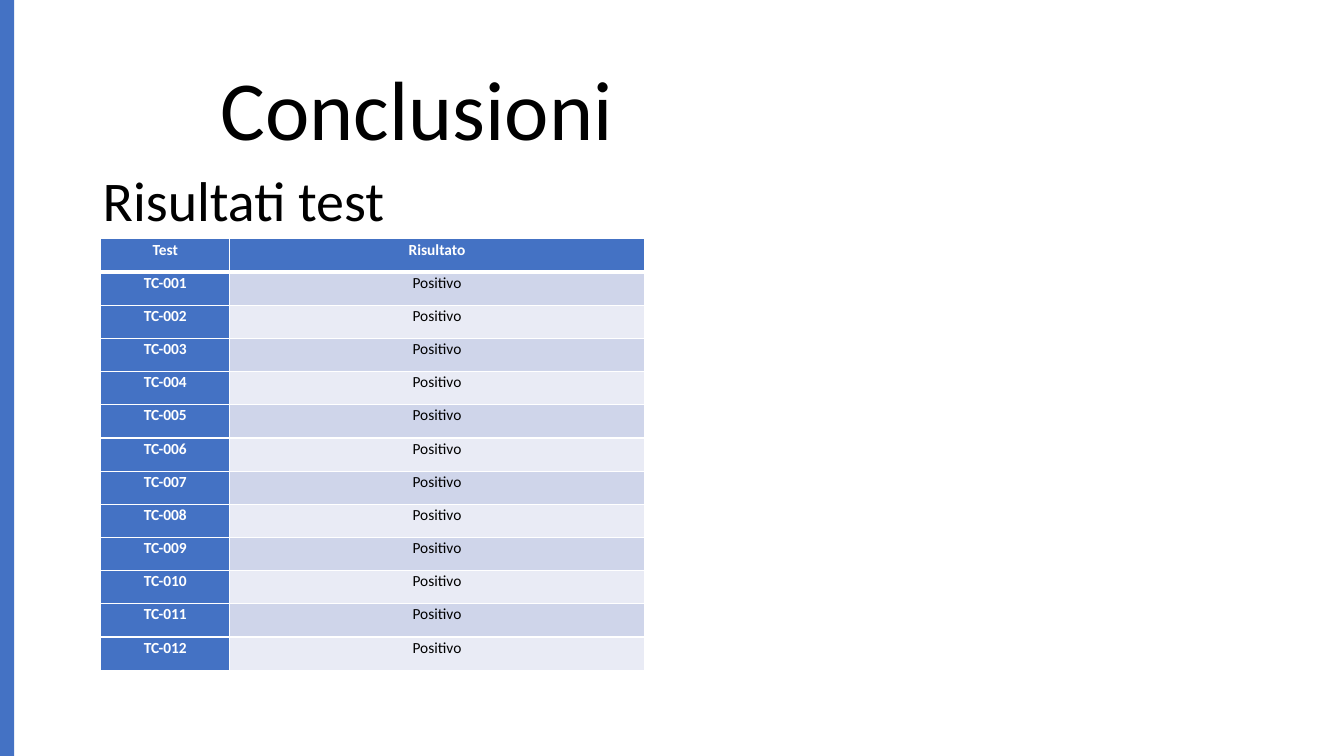
import pptx
import pptx.dml.color
import pptx.enum.shapes
import pptx.enum.text
import pptx.oxml.ns
import pptx.util
from lxml import etree

Inches, Pt = pptx.util.Inches, pptx.util.Pt
RGBColor = pptx.dml.color.RGBColor
MSO_ANCHOR, PP_ALIGN = pptx.enum.text.MSO_ANCHOR, pptx.enum.text.PP_ALIGN
qn = pptx.oxml.ns.qn

BLUE = RGBColor(0x44, 0x72, 0xC4)
BAND_DARK = RGBColor(0xCF, 0xD5, 0xEA)
BAND_LIGHT = RGBColor(0xE9, 0xEB, 0xF5)
WHITE = RGBColor(0xFF, 0xFF, 0xFF)
BLACK = RGBColor(0, 0, 0)
FONT = "Calibri"

HEADINGS = [  # text, box, size, anchor, line spacing
    ("Conclusioni", (2.09, 0.4, 10.32, 1.45), 60, MSO_ANCHOR.MIDDLE, 0.9),
    ("Risultati test", (0.92, 1.59, 10.32, 0.77), 40, MSO_ANCHOR.TOP, 1.0),
]
HEADER = ("Test", "Risultato")
RESULTS = [(f"TC-{number:03d}", "Positivo") for number in range(1, 13)]

SIDEBAR_BOX = (0, 0, 0.14, 7.5)
TABLE_BOX = (1, 2.37, 5.39, 4.28)
COLUMN_WIDTHS = (1.28, 4.11)
CELL_FORMAT = {
    "margin_left": Inches(0.07), "margin_right": Inches(0.07),
    "margin_top": 0, "margin_bottom": 0,
}
CELL_PARAGRAPH = {
    "alignment": PP_ALIGN.CENTER, "line_spacing": 1.07, "space_after": Pt(8),
}


def set_all(target, values):
    for attribute, value in values.items():
        setattr(target, attribute, value)


def write(paragraph, text, size, color, bold=False):
    run = paragraph.add_run()
    run.text = text
    set_all(run.font, {"name": FONT, "size": Pt(size), "bold": bold})
    run.font.color.rgb = color


def add_borders(cell, widths):
    """Draw white left, right, top and bottom borders, widths in points."""
    properties = cell._tc.get_or_add_tcPr()
    for side, width in zip("LRTB", widths):
        line = etree.SubElement(properties, qn(f"a:ln{side}"), w=str(Pt(width)))
        fill = etree.SubElement(line, qn("a:solidFill"))
        etree.SubElement(fill, qn("a:srgbClr"), val=str(WHITE))


def add_heading(slide, text, box, size, anchor, spacing):
    frame = slide.shapes.add_textbox(*map(Inches, box)).text_frame
    set_all(frame, {"word_wrap": True, "vertical_anchor": anchor})
    paragraph = frame.paragraphs[0]
    paragraph.line_spacing = spacing
    write(paragraph, text, size, BLACK)


def add_sidebar(slide):
    sidebar = slide.shapes.add_shape(
        pptx.enum.shapes.MSO_SHAPE.RECTANGLE, *map(Inches, SIDEBAR_BOX))
    sidebar.shadow.inherit = False
    sidebar.fill.solid()
    sidebar.fill.fore_color.rgb = BLUE
    sidebar.line.fill.background()


def add_results(slide):
    rows = [HEADER, *RESULTS]
    table = slide.shapes.add_table(
        len(rows), len(HEADER), *map(Inches, TABLE_BOX)).table
    table.first_col = True
    for column, width in zip(table.columns, COLUMN_WIDTHS):
        column.width = Inches(width)
    for r, row in enumerate(rows):
        table.rows[r].height = Inches(TABLE_BOX[3] / len(rows))
        for c, text in enumerate(row):
            cell = table.cell(r, c)
            emphasis = r == 0 or c == 0
            band = BAND_DARK if r % 2 else BAND_LIGHT
            set_all(cell, CELL_FORMAT)
            add_borders(cell, (1, 1, 3 if r == 1 else 1, 3 if r == 0 else 1))
            cell.fill.solid()
            cell.fill.fore_color.rgb = BLUE if emphasis else band
            paragraph = cell.text_frame.paragraphs[0]
            set_all(paragraph, CELL_PARAGRAPH)
            write(paragraph, text, 11, WHITE if emphasis else BLACK, emphasis)


def main():
    deck = pptx.Presentation()
    set_all(deck, {"slide_width": Inches(13.33), "slide_height": Inches(7.5)})
    slide = deck.slides.add_slide(deck.slide_layouts[6])
    add_sidebar(slide)
    for heading in HEADINGS:
        add_heading(slide, *heading)
    add_results(slide)
    deck.save("out.pptx")


if __name__ == "__main__":
    main()
